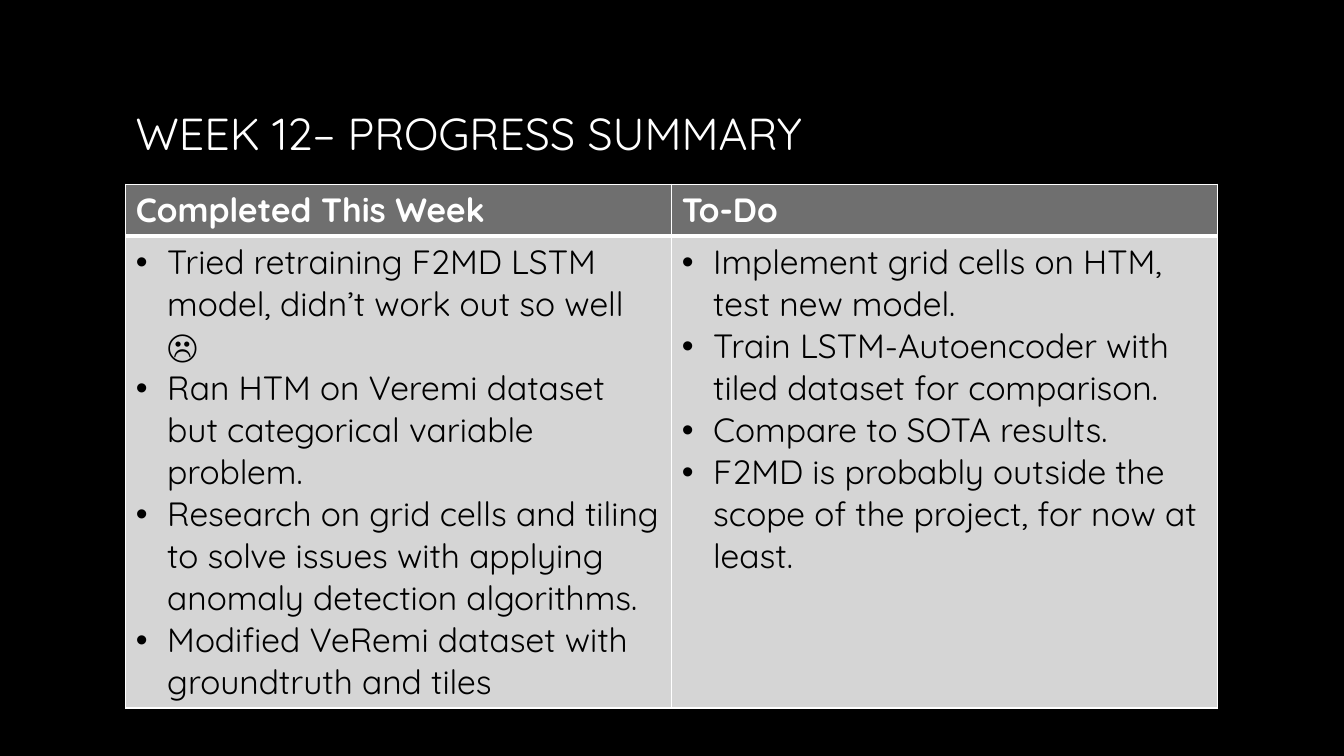
from dataclasses import dataclass

from lxml import etree
from pptx import Presentation
from pptx import util as u
from pptx.dml import color
from pptx.enum import text
from pptx.oxml import ns


@dataclass(frozen=True)
class Theme:
    font: str = "Quicksand"
    background: str = "000000"
    light: str = "FFFFFF"
    dark: str = "000000"
    header_fill: str = "6F6F6F"
    body_fill: str = "D5D5D5"
    title_size: int = 32
    table_size: int = 24
    thin_line: float = 1
    thick_line: float = 3


class SlideBuilder:
    def __init__(self, slide, theme):
        self.slide = slide
        self.theme = theme
        background = slide.background.fill
        background.solid()
        background.fore_color.rgb = color.RGBColor.from_string(theme.background)

    def format_runs(self, paragraph, size, rgb, bold=False):
        for run in paragraph.runs:
            run.font.name = self.theme.font
            run.font.size = u.Pt(size)
            run.font.bold = bold
            run.font.color.rgb = color.RGBColor.from_string(rgb)

    def title(self, wording, left, top, width, height):
        box = self.slide.shapes.add_textbox(
            u.Cm(left), u.Cm(top), u.Cm(width), u.Cm(height))
        frame = box.text_frame
        frame.word_wrap = True
        frame.vertical_anchor = text.MSO_ANCHOR.MIDDLE
        frame.text = wording
        self.format_runs(frame.paragraphs[0], self.theme.title_size, self.theme.light)

    def bullet(self, paragraph):
        properties = paragraph._p.get_or_add_pPr()
        properties.set("marL", str(u.Cm(0.79)))
        properties.set("indent", str(u.Cm(-0.79)))
        etree.SubElement(properties, ns.qn("a:buFont"), typeface="Arial")
        etree.SubElement(properties, ns.qn("a:buChar"), char="•")

    def borders(self, cell, widths):
        properties = cell._tc.get_or_add_tcPr()
        for position, (side, width) in enumerate(widths.items()):
            line = etree.Element(ns.qn(f"a:ln{side}"), w=str(u.Pt(width)))
            fill = etree.SubElement(line, ns.qn("a:solidFill"))
            etree.SubElement(fill, ns.qn("a:srgbClr"), val=self.theme.light)
            properties.insert(position, line)

    def cell(self, cell, lines, is_header):
        theme = self.theme
        cell.fill.solid()
        cell.fill.fore_color.rgb = color.RGBColor.from_string(
            theme.header_fill if is_header else theme.body_fill)
        cell.text_frame.text = "\n".join(lines)
        for paragraph in cell.text_frame.paragraphs:
            self.format_runs(paragraph, theme.table_size,
                             theme.light if is_header else theme.dark, is_header)
            if not is_header:
                self.bullet(paragraph)
        thin, thick = theme.thin_line, theme.thick_line
        self.borders(cell, {
            "L": thin,
            "R": thin,
            "T": thin if is_header else thick,
            "B": thick if is_header else thin,
        })

    def table(self, columns, left, top, width, row_heights):
        table = self.slide.shapes.add_table(
            len(row_heights), len(columns), u.Cm(left), u.Cm(top),
            u.Cm(width), u.Cm(sum(row_heights))).table
        for row, height in zip(table.rows, row_heights):
            row.height = u.Cm(height)
        for index, (heading, items) in enumerate(columns.items()):
            self.cell(table.cell(0, index), [heading], True)
            self.cell(table.cell(1, index), items, False)


PROGRESS = {
    "Completed This Week": [
        "Tried retraining F2MD LSTM model, didn’t work out so well ☹",
        "Ran HTM on Veremi dataset but categorical variable problem.",
        "Research on grid cells and tiling to solve issues with applying "
        "anomaly detection algorithms.",
        "Modified VeRemi dataset with groundtruth and tiles",
    ],
    "To-Do": [
        "Implement grid cells on HTM, test new model.",
        "Train LSTM-Autoencoder with tiled dataset for comparison.",
        "Compare to SOTA results.",
        "F2MD is probably outside the scope of the project, for now at least.",
    ],
}


def main():
    presentation = Presentation()
    presentation.slide_width = u.Cm(33.87)
    presentation.slide_height = u.Cm(19.05)
    slide = presentation.slides.add_slide(presentation.slide_layouts[6])
    builder = SlideBuilder(slide, Theme())
    builder.title("WEEK 12– PROGRESS SUMMARY", 3.17, 0.69, 27.52, 5.28)
    builder.table(PROGRESS, 3.17, 4.64, 27.52, [1.3, 11.9])
    presentation.save("out.pptx")


if __name__ == "__main__":
    main()
